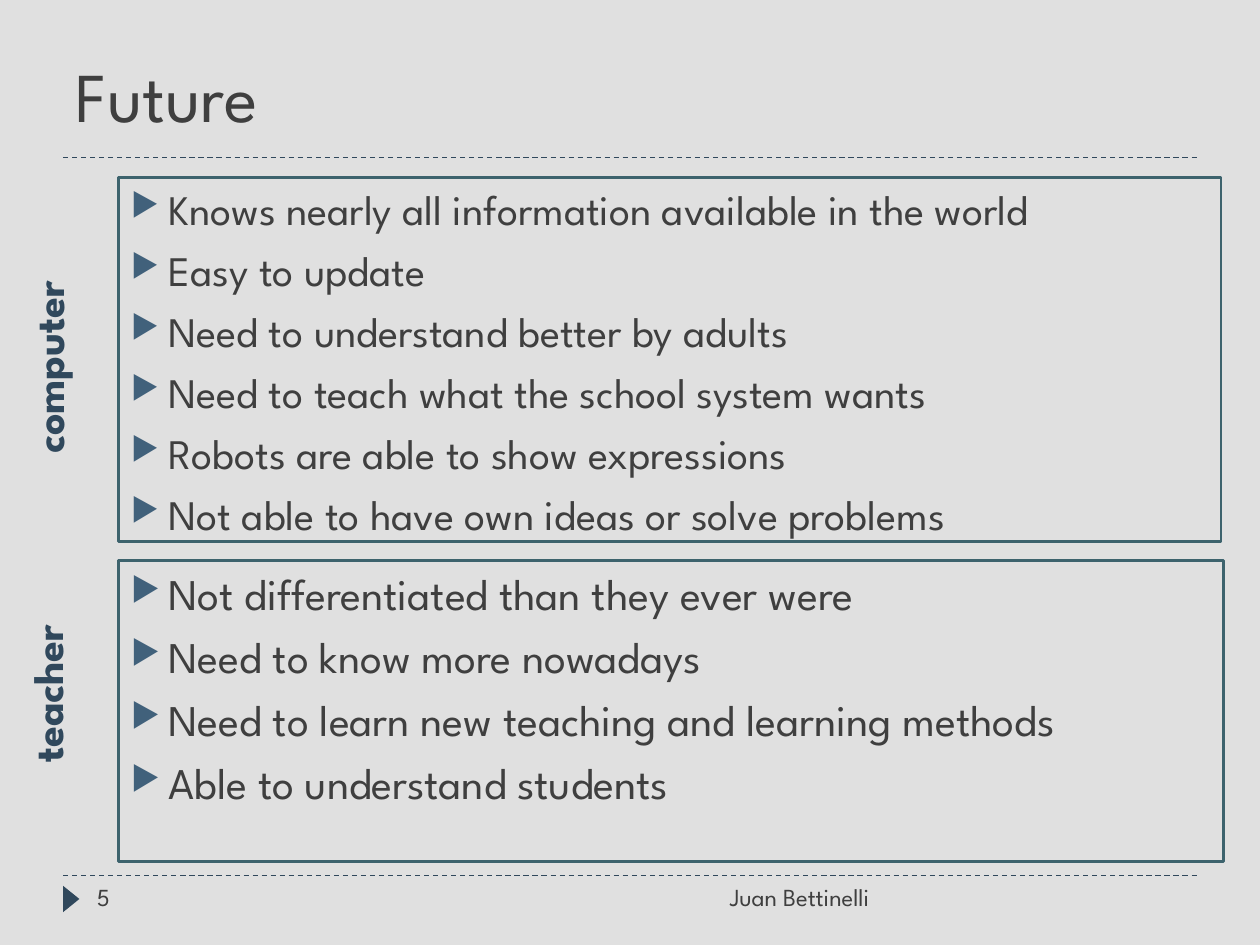
from lxml import etree
from pptx import Presentation
from pptx.dml.color import RGBColor
from pptx.enum.dml import MSO_LINE
from pptx.enum.shapes import MSO_CONNECTOR, MSO_SHAPE
from pptx.enum.text import MSO_ANCHOR, MSO_AUTO_SIZE, PP_ALIGN
from pptx.oxml.ns import qn
from pptx.util import Inches, Pt

FONT = "League Spartan"
BACKGROUND = RGBColor(0xE0, 0xE0, 0xE0)
TEXT = RGBColor(0x3F, 0x3F, 0x3F)
NAVY = RGBColor(0x30, 0x48, 0x5C)
FRAME = RGBColor(0x3D, 0x63, 0x6D)
BULLET = RGBColor(0x41, 0x61, 0x7B)
LEFT, CENTER, RIGHT = PP_ALIGN.LEFT, PP_ALIGN.CENTER, PP_ALIGN.RIGHT
TOP, MIDDLE, BOTTOM = MSO_ANCHOR.TOP, MSO_ANCHOR.MIDDLE, MSO_ANCHOR.BOTTOM

COMPUTER_POINTS = [
    "Knows nearly all information available in the world",
    "Easy to update",
    "Need to understand better by adults",
    "Need to teach what the school system wants",
    "Robots are able to show expressions",
    "Not able to have own ideas or solve problems",
]
TEACHER_POINTS = [
    "Not differentiated than they ever were",
    "Need to know more nowadays",
    "Need to learn new teaching and learning methods",
    "Able to understand students",
]


def write_text(box, lines, size, color=TEXT, bold=False, align=LEFT,
               anchor=TOP, space_before=0):
    frame = box.text_frame
    frame.word_wrap = True
    frame.auto_size = MSO_AUTO_SIZE.NONE
    frame.vertical_anchor = anchor
    for index, line in enumerate(lines):
        para = frame.paragraphs[0] if index == 0 else frame.add_paragraph()
        para.alignment = align
        para.space_before = Pt(space_before)
        span = para.add_run()
        span.text = line
        span.font.name = FONT
        span.font.size = Pt(size)
        span.font.bold = bold
        span.font.color.rgb = color


def add_label(page, text, left, top, width, height, size, rotation=0, **style):
    box = page.shapes.add_textbox(
        Inches(left), Inches(top), Inches(width), Inches(height))
    box.rotation = rotation
    write_text(box, [text], size, **style)


def add_bullet(para):
    properties = para._p.get_or_add_pPr()
    properties.set("marL", str(Inches(0.3)))
    properties.set("indent", str(-Inches(0.3)))
    color = etree.SubElement(properties, qn("a:buClr"))
    etree.SubElement(color, qn("a:srgbClr"), val=str(BULLET))
    etree.SubElement(properties, qn("a:buSzPct"), val="76000")
    etree.SubElement(properties, qn("a:buChar"), char="▶")


def add_bullet_panel(page, points, top, width, height, size):
    panel = page.shapes.add_shape(
        MSO_SHAPE.RECTANGLE,
        Inches(0.94), Inches(top), Inches(width), Inches(height))
    panel.shadow.inherit = False
    panel.fill.solid()
    panel.fill.fore_color.rgb = BACKGROUND
    panel.line.color.rgb = FRAME
    panel.line.width = Pt(1.5)
    write_text(panel, points, size, space_before=6)
    for para in panel.text_frame.paragraphs:
        add_bullet(para)


def add_dashed_rule(page, y):
    rule = page.shapes.add_connector(
        MSO_CONNECTOR.STRAIGHT, Inches(0.5), Inches(y), Inches(9.5), Inches(y))
    rule.line.color.rgb = NAVY
    rule.line.width = Pt(0.75)
    rule.line.dash_style = MSO_LINE.DASH
    etree.SubElement(rule._element.spPr, qn("a:effectLst"))


def add_page_marker(page):
    marker = page.shapes.add_shape(
        MSO_SHAPE.ISOSCELES_TRIANGLE,
        Inches(0.46), Inches(7.07), Inches(0.21), Inches(0.13))
    marker.rotation = 90
    marker.shadow.inherit = False
    marker.fill.solid()
    marker.fill.fore_color.rgb = NAVY
    marker.line.fill.background()


def set_title(page, text):
    title = page.shapes.title
    title.left, title.top = Inches(0.5), Inches(0.25)
    title.width, title.height = Inches(9), Inches(1)
    write_text(title, [text], 40, anchor=MIDDLE)


def main():
    deck = Presentation()
    deck.slide_width, deck.slide_height = Inches(10), Inches(7.5)
    page = deck.slides.add_slide(deck.slide_layouts[5])
    page.background.fill.solid()
    page.background.fill.fore_color.rgb = BACKGROUND

    # Frame of the page
    for y in (6.95, 1.25):
        add_dashed_rule(page, y)
    add_page_marker(page)
    set_title(page, "Future")

    # Vertical headings
    heading = dict(size=24, rotation=270, color=NAVY, bold=True,
                   align=CENTER, anchor=BOTTOM, space_before=6)
    add_label(page, "teacher", -0.89, 5.21, 2.43, 0.59, **heading)
    add_label(page, "computer", -1.1, 2.62, 2.86, 0.59, **heading)

    # Bullet panels
    add_bullet_panel(page, TEACHER_POINTS, 4.45, 8.77, 2.39, 25)
    add_bullet_panel(page, COMPUTER_POINTS, 1.41, 8.75, 2.89, 24)

    # Footer
    add_label(page, "5", 0.67, 6.95, 2.17, 0.4, 14)
    add_label(page, "Juan Bettinelli", 3.17, 6.95, 3.83, 0.4, 14, align=RIGHT)

    deck.save("out.pptx")


if __name__ == "__main__":
    main()
